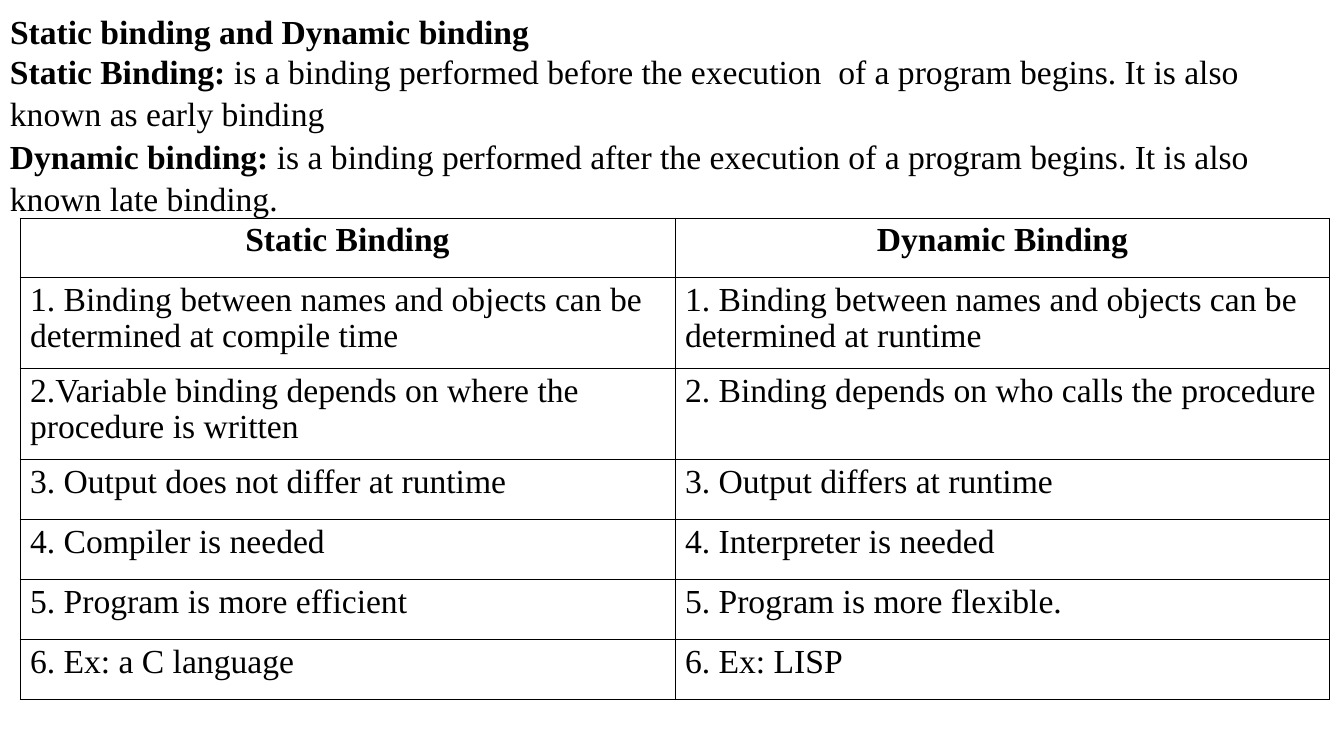
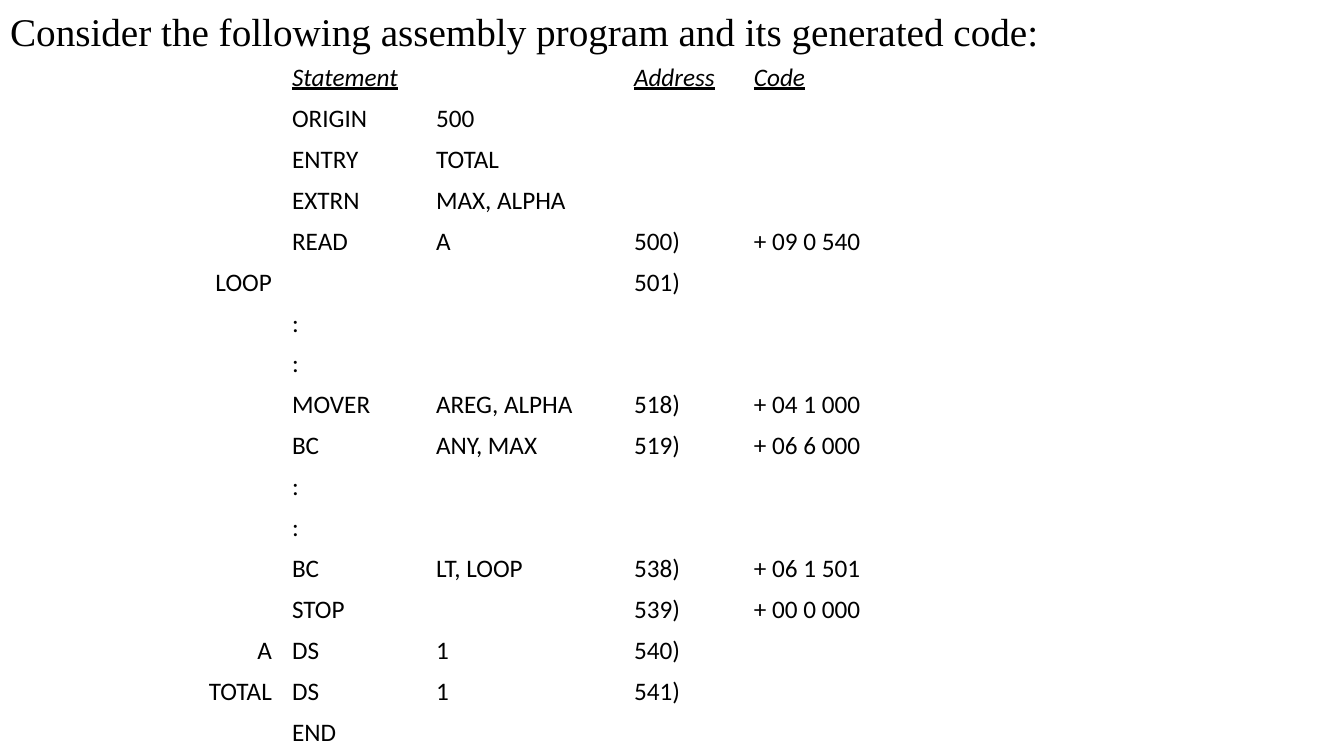
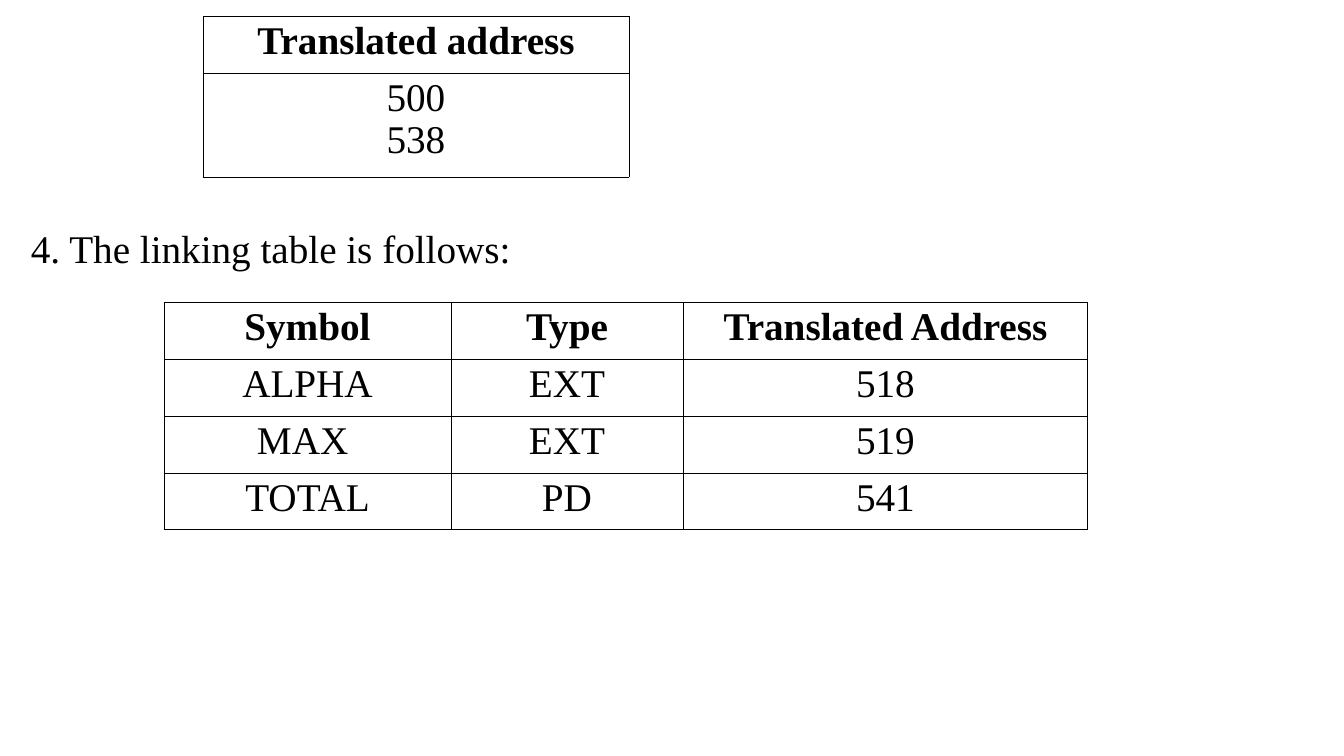
from lxml.etree import SubElement
from pptx import Presentation
from pptx.dml.color import RGBColor as Rgb
from pptx.enum.text import MSO_ANCHOR as Anchor, MSO_AUTO_SIZE as Fit, PP_ALIGN as Align
from pptx.oxml.ns import qn
from pptx.util import Pt

PX = 914400 / 100.8
HUES = {"ink": "000000"}
SERIF, SANS = "Times New Roman", "Calibri"
LEFT, MID, RIGHT = Align.LEFT, Align.CENTER, Align.RIGHT


def write(frame, paras, size, font=SERIF, align=LEFT, space=1.05):
    frame.word_wrap = True
    frame.auto_size = Fit.NONE
    frame.vertical_anchor = Anchor.TOP
    for num, parts in enumerate(paras):
        para = frame.add_paragraph() if num else frame.paragraphs[0]
        para.alignment = align
        para.line_spacing = space
        for text, bold in parts:
            run = para.add_run()
            run.text = text
            run.font.name = font
            run.font.size = Pt(size)
            run.font.bold = bold
            run.font.color.rgb = Rgb.from_string(HUES["ink"])


def grid(slide, left, top, cols, rows, data, size, aligns, font=SERIF, space=0.97, ruled=True):
    box = [round(n * PX) for n in (left, top, sum(cols), sum(rows))]
    table = slide.shapes.add_table(len(rows), len(cols), *box).table
    table.first_row = table.horz_banding = False
    for col, wide in zip(table.columns, cols):
        col.width = round(wide * PX)
    for y, (row, high) in enumerate(zip(table.rows, rows)):
        row.height = round(high * PX)
        for x, cell in enumerate(row.cells):
            if ruled:
                props = cell._tc.get_or_add_tcPr()
                for side in ("a:lnL", "a:lnR", "a:lnT", "a:lnB"):
                    line = SubElement(props, qn(side), w=str(Pt(0.75)))
                    fill = SubElement(line, qn("a:solidFill"))
                    SubElement(fill, qn("a:srgbClr"), val=HUES["ink"])
            cell.fill.background()
            if data[y][x]:
                head = ruled and y == 0
                paras = [[(text, head)] for text in data[y][x].split("\n")]
                write(cell.text_frame, paras, size, font, MID if head else aligns[x], space)
    return table


deck = Presentation()
deck.slide_width, deck.slide_height = round(1344 * PX), round(756 * PX)
TITLED, BLANK = deck.slide_layouts[5], deck.slide_layouts[6]

titles = [
    ("Static binding and Dynamic binding", 24, True, 4, 1344, 40),
    ("Consider the following assembly program and its generated code:", 28, False, 0, 1322, 57),
]
slides = []
for text, size, bold, top, wide, high in titles:
    slide = deck.slides.add_slide(TITLED)
    title = slide.shapes.title
    title.left, title.top = 0, round(top * PX)
    title.width, title.height = round(wide * PX), round(high * PX)
    write(title.text_frame, [[(text, bold)]], size)
    slides.append(slide)
slides.append(deck.slides.add_slide(BLANK))
bind, code, link = slides

terms = [
    [("Static Binding: ", True),
     ("is a binding performed before the execution  of a program begins. It is also known as early binding", False)],
    [("Dynamic binding: ", True),
     ("is a binding performed after the execution of a program begins. It is also known late binding.", False)],
]
step = [[("4. The linking table is follows:", False)]]
for slide, left, top, wide, high, paras, size in [
    (bind, 0, 44, 1344, 174, terms, 24),
    (link, 21, 217, 1300, 57, step, 28),
]:
    box = slide.shapes.add_textbox(*[round(n * PX) for n in (left, top, wide, high)])
    write(box.text_frame, paras, size)

pairs = [
    ("Static Binding", "Dynamic Binding"),
    ("1. Binding between names and objects can be determined at compile time",
     "1. Binding between names and objects can be determined at runtime"),
    ("2.Variable binding depends on where the procedure is written",
     "2. Binding depends on who calls the procedure"),
    ("3. Output does not differ at runtime", "3. Output differs at runtime"),
    ("4. Compiler is needed", "4. Interpreter is needed"),
    ("5. Program is more efficient", "5. Program is more flexible."),
    ("6. Ex: a C language", "6. Ex: LISP"),
]
grid(bind, 20, 218, [655] * 2, [60, 91, 91] + [60] * 4, pairs, 24, [LEFT] * 2)

lines = [
    ("", "Statement", "", "Address", "Code"),
    ("", "ORIGIN", "500", "", ""),
    ("", "ENTRY", "TOTAL", "", ""),
    ("", "EXTRN", "MAX, ALPHA", "", ""),
    ("", "READ", "A", "500)", "+ 09 0 540"),
    ("LOOP", "", "", "501)", ""),
    ("", ":", "", "", ""),
    ("", ":", "", "", ""),
    ("", "MOVER", "AREG, ALPHA", "518)", "+ 04 1 000"),
    ("", "BC", "ANY, MAX", "519)", "+ 06 6 000"),
    ("", ":", "", "", ""),
    ("", ":", "", "", ""),
    ("", "BC", "LT, LOOP", "538)", "+ 06 1 501"),
    ("", "STOP", "", "539)", "+ 00 0 000"),
    ("A", "DS", "1", "540)", ""),
    ("TOTAL", "DS", "1", "541)", ""),
    ("", "END", "", "", ""),
]
table = grid(code, 36, 57, [246, 144, 198, 120, 521], [41] * len(lines), lines, 18,
             [RIGHT] + [LEFT] * 4, SANS, 1.0, False)
for cell in table.rows[0].cells:
    for run in cell.text_frame.paragraphs[0].runs:
        run.font.italic = run.font.underline = True

grid(link, 203, 16, [426], [57, 104], [["Translated address"], ["500\n538"]], 28, [MID])

marks = [
    ("Symbol", "Type", "Translated Address"),
    ("ALPHA", "EXT", "518"),
    ("MAX ", "EXT", "519"),
    ("TOTAL", "PD", "541"),
]
grid(link, 164, 302, [287, 232, 405], [57] * 4, marks, 28, [MID] * 3)

deck.save("out.pptx")
